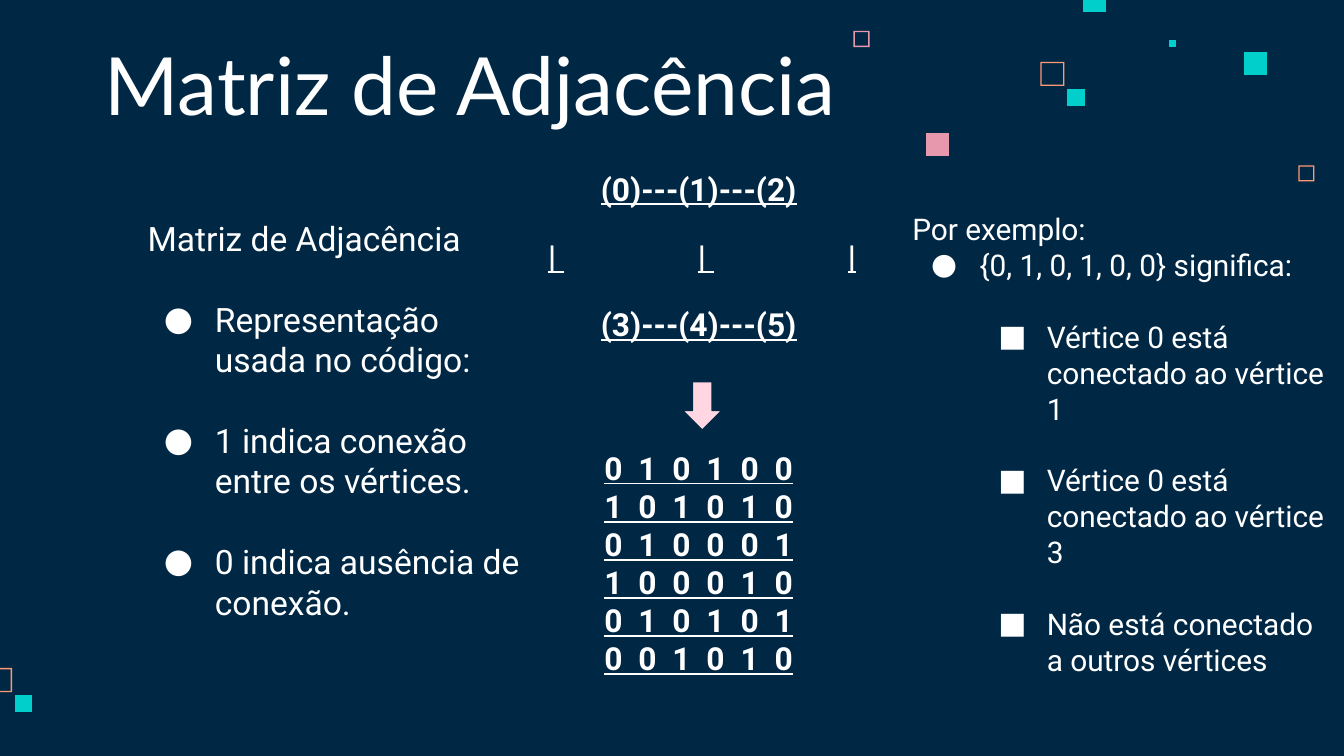
import lxml.etree
import pptx
import pptx.dml.color
import pptx.enum.shapes
import pptx.enum.text
import pptx.oxml.ns
import pptx.util
from pptx.util import Inches

NAVY, WHITE, TEAL, PINK, PALE_PINK, ORANGE = (
    "002845", "FFFFFF", "00CFCC", "E898AC", "FFD6E1", "FF9973")
CENTER = pptx.enum.text.PP_ALIGN.CENTER


def rgb(value):
    return pptx.dml.color.RGBColor.from_string(value)


def add_xml(parent, tag, **attributes):
    return lxml.etree.SubElement(parent, pptx.oxml.ns.qn(tag), attributes)


class Deck:
    def __init__(self, width, height):
        self.presentation = pptx.Presentation()
        self.presentation.slide_width = Inches(width)
        self.presentation.slide_height = Inches(height)
        self.slide = self.presentation.slides.add_slide(
            self.presentation.slide_layouts[6])
        self.slide.background.fill.solid()
        self.slide.background.fill.fore_color.rgb = rgb(NAVY)

    def paint(self, shape, color, line=None):
        shape.shadow.inherit = False
        shape.fill.solid()
        shape.fill.fore_color.rgb = rgb(color)
        if line:
            shape.line.color.rgb = rgb(line)
            shape.line.width = pptx.util.Pt(0.75)
        else:
            shape.line.fill.background()

    def square(self, left, top, side, color, border=0):
        """Draw a solid square, or a hollow one when a border is given."""
        right, bottom = left + side, top + side
        builder = self.slide.shapes.build_freeform(
            Inches(left), Inches(top), scale=1.0)
        builder.add_line_segments([(Inches(x), Inches(y)) for x, y in (
            (left, bottom), (right, bottom), (right, top))])
        if border:
            near_x, near_y = left + border, top + border
            far_x, far_y = right - border, bottom - border
            builder.move_to(Inches(near_x), Inches(near_y))
            builder.add_line_segments([(Inches(x), Inches(y)) for x, y in (
                (far_x, near_y), (far_x, far_y), (near_x, far_y))])
        self.paint(builder.convert_to_shape(), color)

    def down_arrow(self, left, top, width, height):
        arrow = self.slide.shapes.add_shape(
            pptx.enum.shapes.MSO_SHAPE.DOWN_ARROW,
            Inches(left), Inches(top), Inches(width), Inches(height))
        self.paint(arrow, PALE_PINK, NAVY)

    def text_box(self, left, top, width, height, anchor="TOP"):
        frame = self.slide.shapes.add_textbox(
            Inches(left), Inches(top), Inches(width), Inches(height)).text_frame
        frame.word_wrap = True
        frame.vertical_anchor = getattr(pptx.enum.text.MSO_ANCHOR, anchor)
        frame.margin_left = frame.margin_right = Inches(0.1)
        frame.margin_top = frame.margin_bottom = Inches(0.1)
        return frame

    def paragraph(self, frame, text, size, font="Roboto", margin=0, hanging=0,
                  bullet=None, level=0, before=0, align=None,
                  bold=False, underline=None):
        first = frame.paragraphs[0]
        paragraph = frame.add_paragraph() if first.runs else first
        paragraph.text = text
        properties = paragraph._p.get_or_add_pPr()
        properties.set("marL", str(Inches(margin)))
        properties.set("indent", str(Inches(-hanging)))
        if bullet:
            add_xml(add_xml(properties, "a:buClr"), "a:srgbClr", val=WHITE)
            add_xml(properties, "a:buSzPts", val=str(size * 100))
            add_xml(properties, "a:buFont", typeface=font)
            add_xml(properties, "a:buChar", char=bullet)
        paragraph.level = level
        paragraph.alignment = align
        paragraph.space_before = pptx.util.Pt(before)
        paragraph.font.name = font
        paragraph.font.size = pptx.util.Pt(size)
        paragraph.font.bold = bold
        paragraph.font.underline = underline
        paragraph.font.color.rgb = rgb(WHITE)
        return paragraph

    def spaced_run(self, paragraph, text, underline, tracking=0):
        """Add a run whose letter spacing is widened by tracking points."""
        run = paragraph.add_run()
        run.text = text
        run.font.underline = underline
        if tracking:
            run._r.get_or_add_rPr().set("spc", str(round(tracking * 100)))


def main():
    deck = Deck(10, 10 * 9 / 16)

    for left, top, side, color in (
            (9.66, 1.23, 0.12, ORANGE), (6.35, 0.23, 0.12, PINK),
            (7.74, 0.46, 0.18, ORANGE), (-0.09, 4.97, 0.18, ORANGE)):
        deck.square(left, top, side, color, border=0.01)
    for left, top, side, color in (
            (8.7, 0.3, 0.05, TEAL), (8.06, -0.08, 0.17, TEAL),
            (9.26, 0.39, 0.17, TEAL), (7.94, 0.66, 0.13, TEAL),
            (6.89, 0.99, 0.17, PINK), (0.11, 5.17, 0.13, TEAL)):
        deck.square(left, top, side, color)

    graph = deck.text_box(0.65, 1.16, 8.6, 4.14)
    centered = dict(size=17, margin=0.5, align=CENTER, bold=True, underline=True)
    deck.paragraph(graph, "(0)---(1)---(2)", **centered)
    edges = deck.paragraph(graph, "", 17, margin=3.33, before=16, bold=True)
    for _ in range(2):
        deck.spaced_run(edges, "| ", underline=True)
        deck.spaced_run(edges, " ", underline=False, tracking=67.5)
    deck.spaced_run(edges, "|", underline=True)
    deck.paragraph(graph, "(3)---(4)---(5)", before=16, **centered)
    matrix = ("010100", "101010", "010001", "100010", "010101", "001010")
    deck.paragraph(graph, "\v".join("  ".join(row) for row in matrix),
                   before=56.5, **centered)

    title = deck.text_box(0.68, 0.45, 9.28, 0.63, anchor="BOTTOM")
    deck.paragraph(title, "Matriz de Adjacência", 43, font="Lato")

    deck.down_arrow(5.08, 2.84, 0.29, 0.36)

    summary = deck.text_box(1, 1.52, 3.02, 3.63)
    deck.paragraph(summary, "Matriz de Adjacência", 18)
    for point in ("Representação usada no código:",
                  "1 indica conexão entre os vértices.",
                  "0 indica ausência de conexão."):
        deck.paragraph(summary, point, 18, margin=0.5, hanging=0.38,
                       bullet="●", before=21.8)

    example = deck.text_box(6.19, 1.47, 3.81, 3.63)
    deck.paragraph(example, "Por exemplo:", 16, margin=0.5)
    deck.paragraph(example, "{0, 1, 0, 1, 0, 0} significa:", 16, margin=1,
                   hanging=0.36, bullet="●")
    for meaning in ("Vértice 0 está conectado ao vértice 1",
                    "Vértice 0 está conectado ao vértice 3",
                    "Não está conectado a outros vértices"):
        deck.paragraph(example, meaning, 16, margin=1.5, hanging=0.36,
                       bullet="■", level=2, before=19.3)

    deck.presentation.save("out.pptx")


if __name__ == "__main__":
    main()
